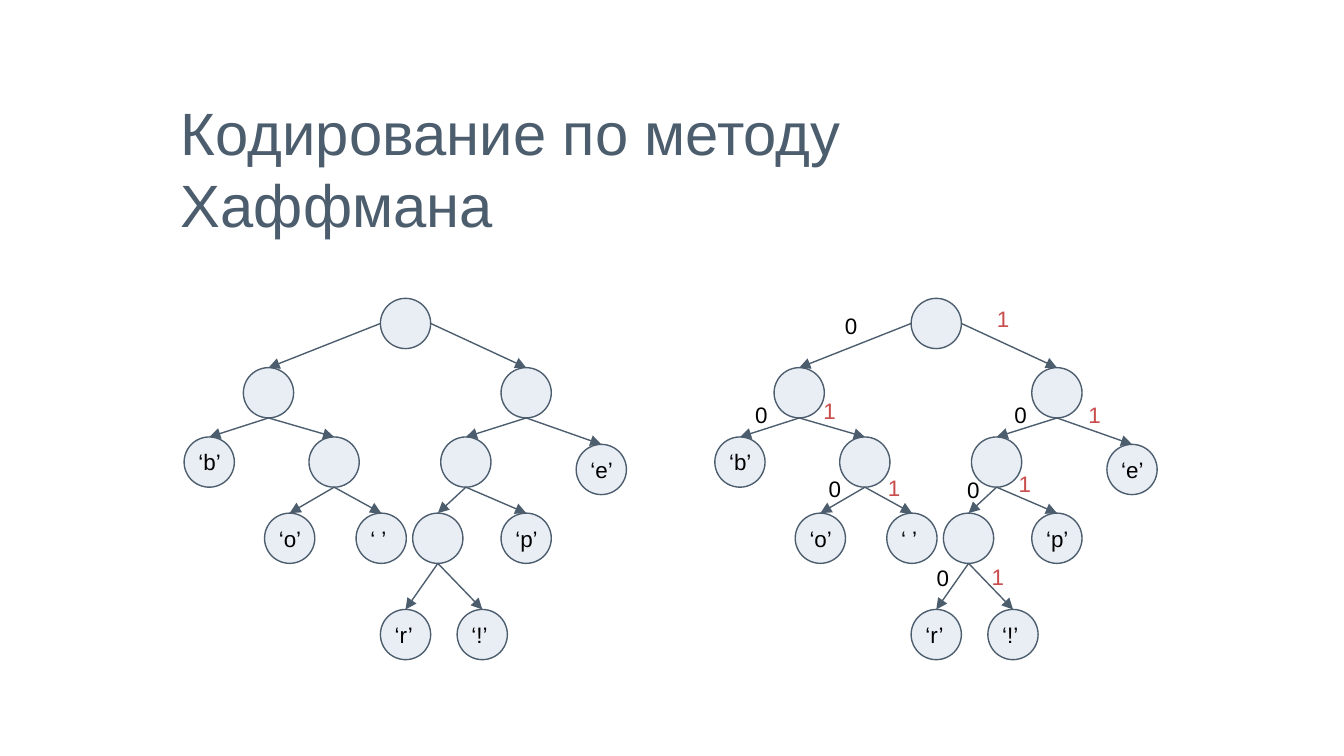
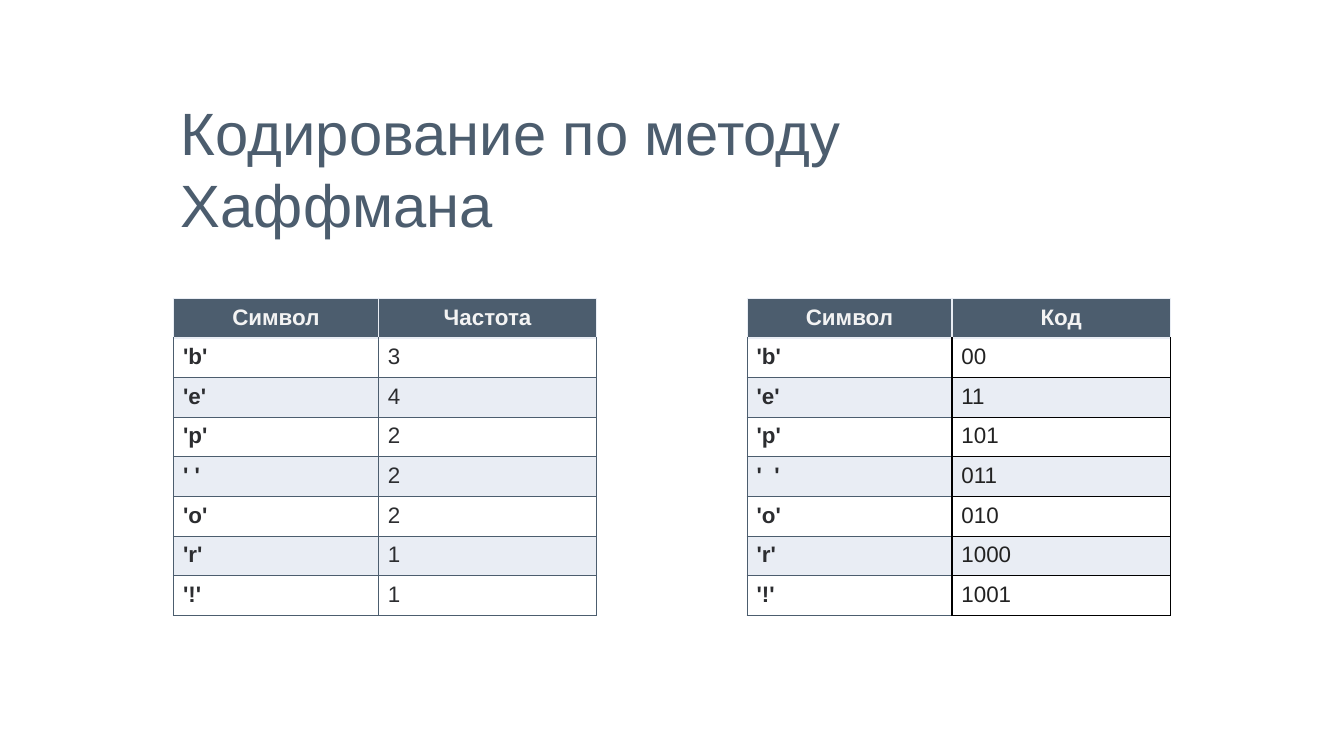
from dataclasses import dataclass

from lxml import etree
from pptx import Presentation
from pptx.dml.color import RGBColor
from pptx.enum.shapes import MSO_CONNECTOR, MSO_SHAPE
from pptx.enum.text import MSO_ANCHOR, PP_ALIGN
from pptx.oxml.ns import qn
from pptx.slide import Slide
from pptx.table import _Cell
from pptx.text.text import TextFrame
from pptx.util import Cm, Pt

ELLIPSE = MSO_SHAPE.OVAL
STRAIGHT = MSO_CONNECTOR.STRAIGHT
MIDDLE, TOP = MSO_ANCHOR.MIDDLE, MSO_ANCHOR.TOP
LEFT, CENTER = PP_ALIGN.LEFT, PP_ALIGN.CENTER

FONT = "Arial"
SLATE, PALE, BLACK, RED = "4C5D6E", "E9EDF4", "000000", "C94D4C"
WHITE, HEADER_TEXT, SYMBOL_TEXT, CODE_TEXT = "FFFFFF", "F3F3F3", "2C2D30", "222222"
LINE_WIDTH = Pt(0.75)
TITLE = "Кодирование по методу Хаффмана"

NODE_SIZE = 0.95
TREE_LEFT, CODED_TREE_LEFT = 3.48, 13.51
TABLE_TOP, ROW_HEIGHT = 5.64, 0.72
COLUMN_WIDTHS = (3.87, 4.13)


@dataclass(frozen=True)
class Node:
    """A tree node named by its Huffman code; x is measured from the tree's left edge."""
    code: str
    x: float
    y: float
    label: str = ""

    @property
    def center_x(self) -> float:
        return self.x + NODE_SIZE / 2


@dataclass(frozen=True)
class Bit:
    """The last digit of a code, written beside the edge that leads to it."""
    code: str
    x: float
    y: float


@dataclass(frozen=True)
class SymbolTable:
    left: float
    heading: str
    rows: tuple[tuple[str, str], ...]
    value_color: str
    value_border: str


NODES = (
    Node("", 3.71, 5.64),
    Node("0", 1.12, 6.95),
    Node("1", 5.99, 6.95),
    Node("00", 0, 8.26, "‘b’"),
    Node("01", 2.36, 8.26),
    Node("10", 4.85, 8.26),
    Node("11", 7.41, 8.4, "‘e’"),
    Node("010", 1.52, 9.7, "‘o’"),
    Node("011", 3.25, 9.7, "‘ ’"),
    Node("100", 4.32, 9.7),
    Node("101", 5.99, 9.7, "‘p’"),
    Node("1000", 3.71, 11.52, "‘r’"),
    Node("1001", 5.16, 11.52, "‘!’"),
)
BITS = (
    Bit("0", 2.21, 5.66), Bit("1", 5.08, 5.51),
    Bit("00", 0.51, 7.34), Bit("01", 1.8, 7.26),
    Bit("10", 5.41, 7.34), Bit("11", 6.81, 7.34),
    Bit("010", 1.9, 8.74), Bit("011", 3.02, 8.71),
    Bit("100", 4.52, 8.76), Bit("101", 5.49, 8.64),
    Bit("1000", 3.94, 10.41), Bit("1001", 4.98, 10.39),
)
BIT_COLORS = {"0": BLACK, "1": RED}

TABLES = (
    SymbolTable(3.28, "Частота", (
        ("'b'", "3"), ("'e'", "4"), ("'p'", "2"), ("' '", "2"),
        ("'o'", "2"), ("'r'", "1"), ("'!'", "1"),
    ), SYMBOL_TEXT, SLATE),
    SymbolTable(14.12, "Код", (
        ("'b'", "00"), ("'e'", "11"), ("'p'", "101"), ("'  '", "011"),
        ("'o'", "010"), ("'r'", "1000"), ("'!'", "1001"),
    ), CODE_TEXT, BLACK),
)


def rgb(color: str) -> RGBColor:
    return RGBColor.from_string(color)


def write(text_frame: TextFrame, text: str, size: float, color: str,
          bold: bool = False, align: PP_ALIGN = LEFT) -> None:
    text_frame.text = text
    paragraph = text_frame.paragraphs[0]
    paragraph.alignment = align
    font = paragraph.runs[0].font
    font.name, font.size, font.bold = FONT, Pt(size), bold
    font.color.rgb = rgb(color)


def add_text(slide: Slide, text: str, left: float, top: float, width: float, height: float,
             size: float = 12, color: str = BLACK, anchor: MSO_ANCHOR = TOP) -> None:
    text_frame = slide.shapes.add_textbox(Cm(left), Cm(top), Cm(width), Cm(height)).text_frame
    text_frame.word_wrap = True
    text_frame.vertical_anchor = anchor
    text_frame.margin_left = text_frame.margin_right = Cm(0.25)
    text_frame.margin_top = text_frame.margin_bottom = Cm(0.25)
    write(text_frame, text, size, color)


def add_titled_slide(presentation: Presentation) -> Slide:
    slide = presentation.slides.add_slide(presentation.slide_layouts[6])
    slide.background.fill.solid()
    slide.background.fill.fore_color.rgb = rgb(WHITE)
    add_text(slide, TITLE, 3.17, 1.59, 19.05, 3.17, 32, SLATE, MIDDLE)
    return slide


def add_node(slide: Slide, node: Node, tree_left: float) -> None:
    shape = slide.shapes.add_shape(
        ELLIPSE, Cm(tree_left + node.x), Cm(node.y), Cm(NODE_SIZE), Cm(NODE_SIZE))
    shape.shadow.inherit = False
    shape.fill.solid()
    shape.fill.fore_color.rgb = rgb(PALE)
    shape.line.color.rgb = rgb(SLATE)
    shape.line.width = LINE_WIDTH


def add_edge(slide: Slide, parent: Node, child: Node, tree_left: float) -> None:
    """Draw an arrow from the root's side, or another parent's bottom, to the child's top."""
    if parent.code:
        start_x, start_y = parent.center_x, parent.y + NODE_SIZE
    else:
        start_x = parent.x + NODE_SIZE * int(child.code)
        start_y = parent.y + NODE_SIZE / 2
    connector = slide.shapes.add_connector(
        STRAIGHT, Cm(tree_left + start_x), Cm(start_y),
        Cm(tree_left + child.center_x), Cm(child.y))
    connector.line.color.rgb = rgb(SLATE)
    connector.line.width = LINE_WIDTH
    properties = connector.element.spPr
    etree.SubElement(properties.find(qn("a:ln")), qn("a:tailEnd"), type="triangle")
    etree.SubElement(properties, qn("a:effectLst"))


def add_tree(slide: Slide, tree_left: float) -> None:
    nodes_by_code = {node.code: node for node in NODES}
    for node in NODES:
        add_node(slide, node, tree_left)
    for node in NODES:
        if node.code:
            add_edge(slide, nodes_by_code[node.code[:-1]], node, tree_left)
    for node in NODES:
        if node.label:
            add_text(slide, node.label, tree_left + node.x + 0.02, node.y - 0.03, 1.02, 0.95)


def add_bits(slide: Slide, tree_left: float) -> None:
    for bit in BITS:
        digit = bit.code[-1]
        add_text(slide, digit, tree_left + bit.x, bit.y, 1.24, 0.84, color=BIT_COLORS[digit])


def set_borders(cell: _Cell, left: str, right: str, top: str, bottom: str) -> None:
    properties = cell._tc.get_or_add_tcPr()
    for side, color in zip("LRTB", (left, right, top, bottom)):
        line = etree.SubElement(properties, qn(f"a:ln{side}"), w=str(LINE_WIDTH))
        fill = etree.SubElement(line, qn("a:solidFill"))
        etree.SubElement(fill, qn("a:srgbClr"), val=color)


def fill_cell(cell: _Cell, color: str | None) -> None:
    if color is None:
        cell.fill.background()
    else:
        cell.fill.solid()
        cell.fill.fore_color.rgb = rgb(color)


def add_symbol_table(slide: Slide, content: SymbolTable) -> None:
    rows = (("Символ", content.heading), *content.rows)
    table = slide.shapes.add_table(
        len(rows), len(COLUMN_WIDTHS), Cm(content.left), Cm(TABLE_TOP),
        Cm(sum(COLUMN_WIDTHS)), Cm(ROW_HEIGHT * len(rows))).table
    table.first_row = table.horz_banding = False
    for column, width in zip(table.columns, COLUMN_WIDTHS):
        column.width = Cm(width)
    for row_index, texts in enumerate(rows):
        table.rows[row_index].height = Cm(ROW_HEIGHT)
        for column_index, text in enumerate(texts):
            cell = table.cell(row_index, column_index)
            cell.margin_left = cell.margin_right = Cm(0.18)
            cell.margin_top = cell.margin_bottom = Cm(0.12)
            if row_index == 0:
                set_borders(cell, PALE, PALE, PALE, PALE)
                fill_cell(cell, SLATE)
                write(cell.text_frame, text, 12, HEADER_TEXT, True, CENTER)
                continue
            is_symbol = column_index == 0
            border = SLATE if is_symbol else content.value_border
            set_borders(cell, border, content.value_border,
                        PALE if row_index == 1 else border, border)
            fill_cell(cell, PALE if row_index % 2 == 0 else None)
            write(cell.text_frame, text, 12,
                  SYMBOL_TEXT if is_symbol else content.value_color, is_symbol)


def main() -> None:
    presentation = Presentation()
    presentation.slide_width, presentation.slide_height = Cm(25.4), Cm(14.29)

    tree_slide = add_titled_slide(presentation)
    for tree_left in (TREE_LEFT, CODED_TREE_LEFT):
        add_tree(tree_slide, tree_left)
    add_bits(tree_slide, CODED_TREE_LEFT)

    table_slide = add_titled_slide(presentation)
    for content in TABLES:
        add_symbol_table(table_slide, content)

    presentation.save("out.pptx")


if __name__ == "__main__":
    main()
